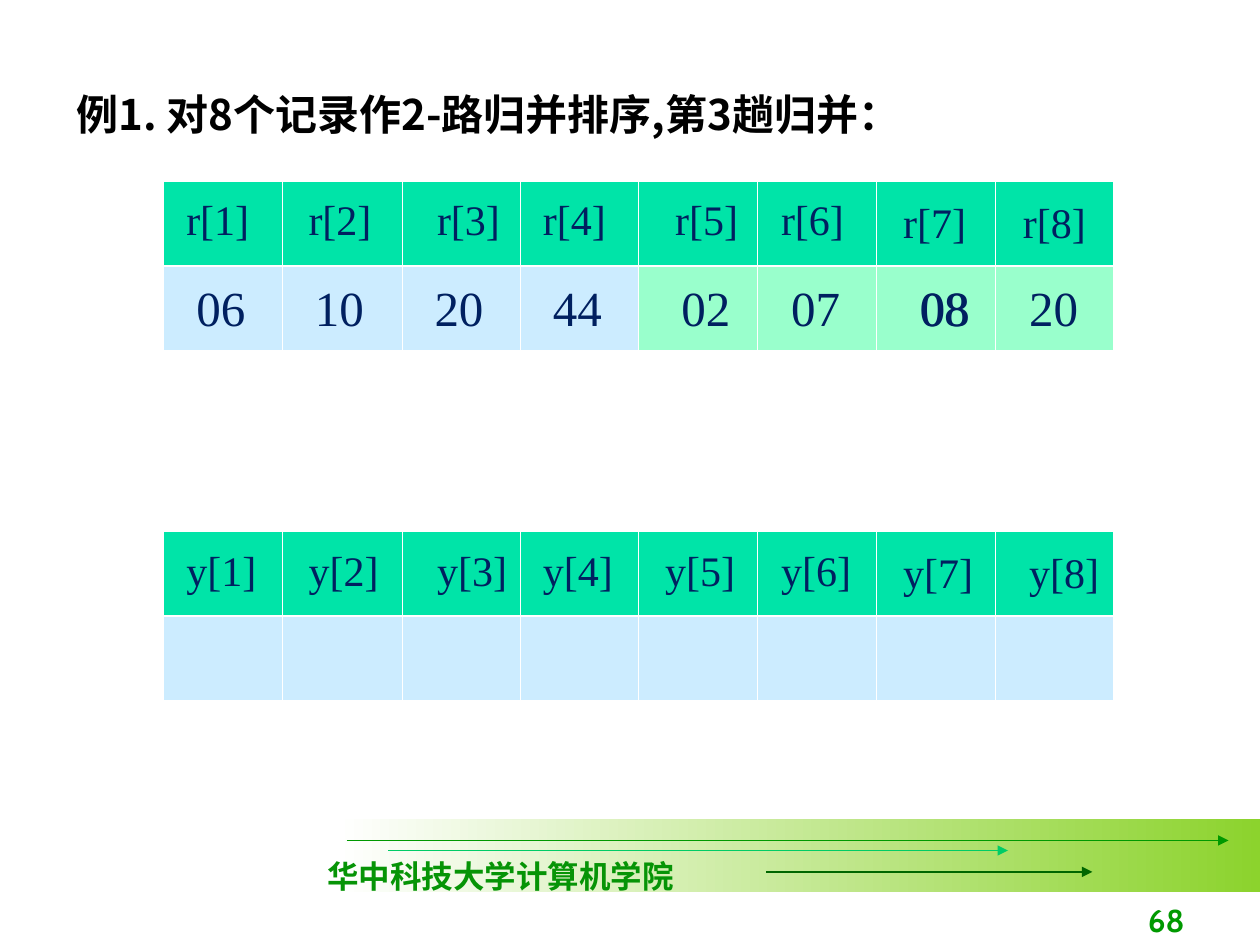
from pptx import Presentation
from pptx.dml.color import RGBColor
from pptx.enum.shapes import MSO_CONNECTOR, MSO_SHAPE
from pptx.enum.text import MSO_ANCHOR, MSO_AUTO_SIZE, PP_ALIGN
from pptx.oxml.ns import qn
from pptx.util import Inches, Pt
from lxml.etree import SubElement

THEME = {
    "header": "00E4A8", "left_run": "CCECFF", "right_run": "99FFCC",
    "grid": "FFFFFF", "ink": "002060", "title": "000000",
    "band": "8CD32D", "school": "069406", "number": "009900",
    "arrows": ["009900", "00CC66", "006600"],
    "serif": "Times New Roman", "sans": "Cabin", "chinese": "Noto Sans CJK SC",
    "small": 18, "label": 24, "value": 28, "thin": 0.45, "thick": 1.47,
}

prs = Presentation()
prs.slide_width, prs.slide_height = Inches(10), Inches(7.5)
slide = prs.slides.add_slide(prs.slide_layouts[6])


def add_text(text, left, top, width, height, size, color, font, bold=False, wrap=True):
    box = slide.shapes.add_textbox(Inches(left), Inches(top), Inches(width), Inches(height))
    frame = box.text_frame
    frame.word_wrap = wrap
    frame.auto_size = MSO_AUTO_SIZE.SHAPE_TO_FIT_TEXT
    run = frame.paragraphs[0].add_run()
    run.text = text
    run.font.size, run.font.bold, run.font.name = Pt(size), bold, font
    run.font.color.rgb = RGBColor.from_string(color)
    SubElement(run.font._element, qn("a:ea"), typeface=THEME["chinese"])
    return frame


def add_records(top, value_fills):
    grid = slide.shapes.add_table(2, 8, Inches(1.3), Inches(top), Inches(7.56), Inches(1.34)).table
    grid.first_row = grid.horz_banding = False
    for index, column in enumerate(grid.columns):
        column.width = Inches(0.95 if index in (1, 5) else 0.94)
    for row, fills in enumerate([[THEME["header"]] * 8, value_fills]):
        grid.rows[row].height = Inches(0.67)
        edges = {"lnL": "thin", "lnR": "thin",
                 "lnT": "thick" if row else "thin", "lnB": "thin" if row else "thick"}
        for column, color in enumerate(fills):
            cell = grid.cell(row, column)
            properties = cell._tc.get_or_add_tcPr()
            for edge, weight in edges.items():
                line = SubElement(properties, qn(f"a:{edge}"), w=str(Pt(THEME[weight])))
                SubElement(SubElement(line, qn("a:solidFill")), qn("a:srgbClr"), val=THEME["grid"])
            cell.fill.solid()
            cell.fill.fore_color.rgb = RGBColor.from_string(color)


band = slide.shapes.add_shape(MSO_SHAPE.RECTANGLE, Inches(2.67), Inches(6.5), Inches(7.33), Inches(0.58))
band.shadow.inherit = False
band.line.fill.background()
band.fill.gradient()
band.fill.gradient_angle = 0
for stop, color in zip(band.fill.gradient_stops, (THEME["grid"], THEME["band"])):
    stop.color.rgb = RGBColor.from_string(color)

arrow_spans = [(2.75, 9.75, 6.67), (3.08, 8, 6.75), (6.08, 8.67, 6.92)]
for (start, end, height), color in zip(arrow_spans, THEME["arrows"]):
    arrow = slide.shapes.add_connector(
        MSO_CONNECTOR.STRAIGHT, Inches(start), Inches(height), Inches(end), Inches(height))
    arrow.line.width = Pt(0.75)
    arrow.line.color.rgb = RGBColor.from_string(color)
    SubElement(arrow.line._get_or_add_ln(), qn("a:tailEnd"), type="triangle")
    SubElement(arrow._element.spPr, qn("a:effectLst"))

add_text("华中科技大学计算机学院", 2.5, 6.75, 2.95, 0.4,
         THEME["small"], THEME["school"], THEME["serif"], bold=True, wrap=False)
page_number = add_text("68", 7.42, 7, 2.08, 0.5,
                       THEME["small"], THEME["number"], THEME["sans"], bold=True)
page_number.auto_size = MSO_AUTO_SIZE.NONE
page_number.vertical_anchor = MSO_ANCHOR.BOTTOM
page_number.paragraphs[0].alignment = PP_ALIGN.RIGHT

source_top, merged_top = 1.44, 4.22
add_records(merged_top, [THEME["left_run"]] * 8)
add_records(source_top, [THEME["left_run"]] * 4 + [THEME["right_run"]] * 4)

label_lefts = {
    "r": (source_top, [1.38, 2.35, 3.37, 4.21, 5.26, 6.1, 7.07, 8.02]),
    "y": (merged_top, [1.38, 2.35, 3.37, 4.21, 5.18, 6.1, 7.07, 8.07]),
}
for array, (top, lefts) in label_lefts.items():
    for position, left in enumerate(lefts, start=1):
        drop = 0.07 if position > 6 else 0.05
        add_text(f"{array}[{position}]", left, top + drop, 0.92, 0.5,
                 THEME["label"], THEME["ink"], THEME["serif"])

records = [("06", 1.46), ("10", 2.4), ("20", 3.35), ("44", 4.29), ("02", 5.31),
           ("07", 6.18), ("08", 7.2), ("08", 7.21), ("20", 8.07)]
for record, left in records:
    add_text(record, left, 2.15, 0.79, 0.57, THEME["value"], THEME["ink"], THEME["serif"])

title = add_text("例1. 对8个记录作2-路归并排序,第3趟归并：", 0.51, 0.61, 8.9, 0.54,
                 THEME["label"], THEME["title"], THEME["chinese"], bold=True)
title.paragraphs[0].line_spacing = 1.1

prs.save("out.pptx")
